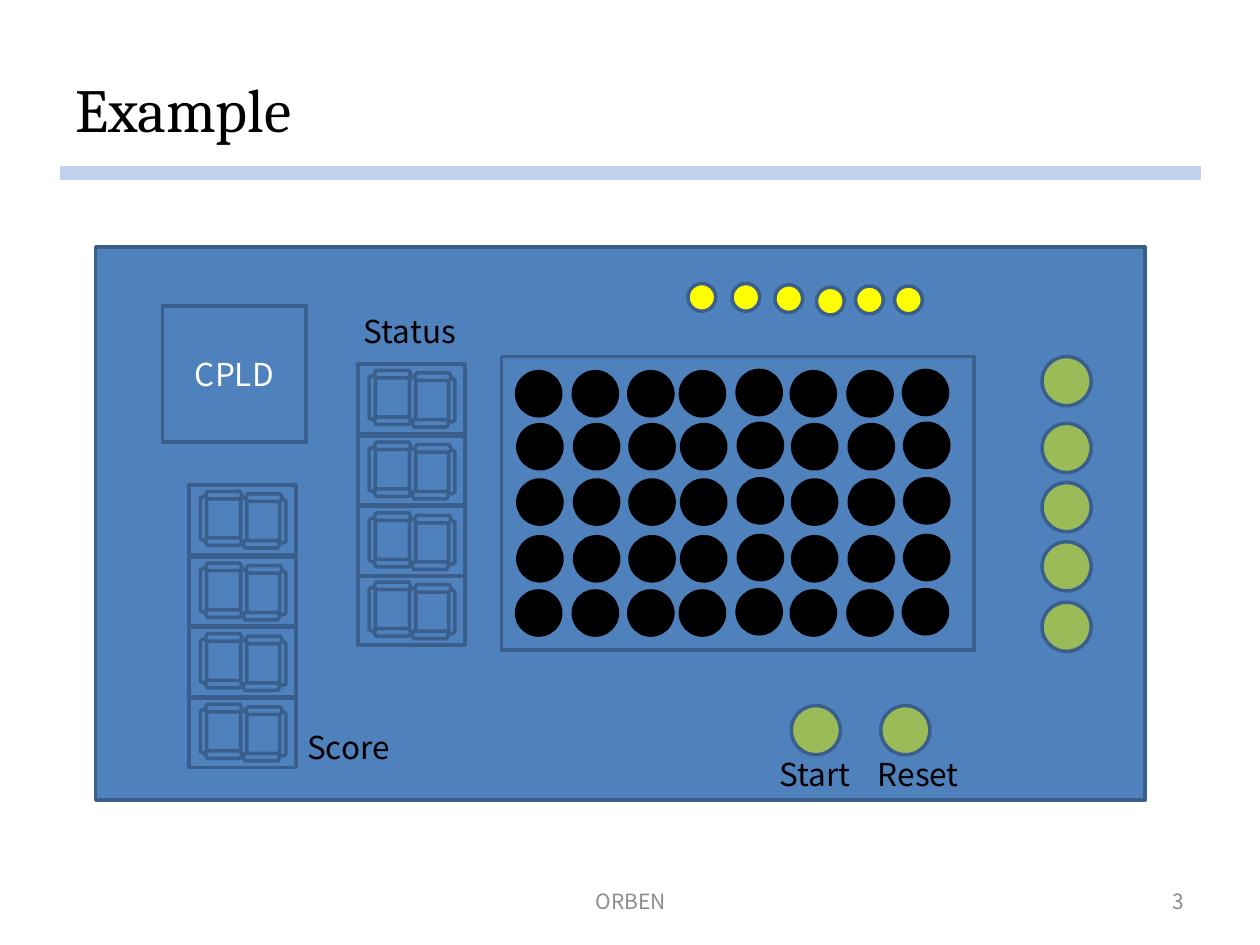
"""Build a slide with a game board layout: CPLD, digit displays, LED matrix and buttons."""
import lxml.etree
import pptx
import pptx.dml.color
import pptx.enum.shapes
import pptx.enum.text
import pptx.oxml.ns
import pptx.util

Inches = pptx.util.Inches
Shape = pptx.enum.shapes.MSO_SHAPE
Align = pptx.enum.text.PP_ALIGN
Anchor = pptx.enum.text.MSO_ANCHOR

COLOURS = {
    "rule": "C2D1ED", "board": "4F81BD", "outline": "3A5F8C", "button": "9BBB59",
    "lamp": "FFFF00", "black": "000000", "white": "FFFFFF", "footer": "8C8C8C",
}
BODY = "Noto Sans CJK KR"


def draw(shapes, kind, box, fill, outline="outline", rotation=0):
    part = shapes.add_shape(kind, *map(Inches, box))
    part.shadow.inherit = False
    part.fill.solid()
    part.fill.fore_color.rgb = pptx.dml.color.RGBColor.from_string(COLOURS[fill])
    part.line.color.rgb = pptx.dml.color.RGBColor.from_string(COLOURS[outline])
    part.line.width = pptx.util.Pt(2)
    part.rotation = rotation
    return part


def write(holder, text, size=18, colour="black", font=BODY, align=Align.LEFT, anchor=Anchor.TOP):
    frame = holder.text_frame
    paragraph = frame.paragraphs[0]
    run = paragraph.add_run()
    run.text = text
    run.font.color.rgb = pptx.dml.color.RGBColor.from_string(COLOURS[colour])
    formats = {
        frame: {"word_wrap": True, "vertical_anchor": anchor},
        paragraph: {"alignment": align},
        run.font: {"size": pptx.util.Pt(size), "name": font},
    }
    for target, values in formats.items():
        for name, value in values.items():
            setattr(target, name, value)


deck = pptx.Presentation()
deck.slide_width, deck.slide_height = Inches(10), Inches(7.5)
slide = deck.slides.add_slide(deck.slide_layouts[6])
shapes = slide.shapes

title_rule = shapes.add_connector(
    pptx.enum.shapes.MSO_CONNECTOR.STRAIGHT,
    Inches(0.48), Inches(1.37), Inches(9.53), Inches(1.37))
title_rule.line.color.rgb = pptx.dml.color.RGBColor.from_string(COLOURS["rule"])
title_rule.line.width = pptx.util.Pt(8)
lxml.etree.SubElement(title_rule._element.spPr, pptx.oxml.ns.qn("a:effectLst"))

draw(shapes, Shape.RECTANGLE, (0.76, 1.96, 8.33, 4.39), "board")

side_buttons = [(8.27, top) for top in (2.83, 3.36, 3.83, 4.3, 4.78)]
game_buttons = [(6.28, 5.6), (6.99, 5.6)]
for left, top in side_buttons + game_buttons:
    draw(shapes, Shape.OVAL, (left, top, 0.39, 0.39), "button")

draw(shapes, Shape.RECTANGLE, (3.98, 2.83, 3.75, 2.33), "board")
matrix_lefts = (4.1, 4.55, 4.99, 5.4, 5.85, 6.28, 6.73, 7.17)
matrix_tops = (2.95, 3.37, 3.81, 4.26, 4.69)
for column, left in enumerate(matrix_lefts):
    for row, top in enumerate(matrix_tops):
        shift = 0.01 if row in (1, 2, 3) else 0
        lift = 0.01 if column in (4, 7) else 0
        draw(shapes, Shape.OVAL, (left + shift, top - lift, 0.35, 0.35), "black", "black")

upright, level = (0.35, 0.05, 270), (0.29, 0.06, 0)
segments = [
    (0.57, 0.26, upright), (0.26, 0.25, upright), (0.45, 0.07, level), (0.43, 0.44, level),
    (-0.06, 0.24, upright), (0.13, 0.05, level), (0.13, 0.42, level),
]
displays = {2.84: (2.89, 3.46, 4.02, 4.57), 1.5: (3.85, 4.42, 4.98, 5.54)}
for left, tops in displays.items():
    for top in tops:
        digits = shapes.add_group_shape().shapes
        draw(digits, Shape.RECTANGLE, (left, top, 0.85, 0.55), "board")
        for across, down, (width, height, rotation) in segments:
            draw(digits, Shape.HEXAGON, (left + across, top + down, width, height),
                 "board", rotation=rotation)

chip = draw(shapes, Shape.RECTANGLE, (1.29, 2.43, 1.14, 1.08), "board")
write(chip, "CPLD", colour="white", align=Align.CENTER, anchor=Anchor.MIDDLE)

for left, top in ((5.46, 2.25), (5.81, 2.25), (6.15, 2.26), (6.48, 2.28), (6.79, 2.27), (7.1, 2.27)):
    draw(shapes, Shape.OVAL, (left, top, 0.22, 0.22), "lamp")

footer = {"size": 12, "colour": "footer", "anchor": Anchor.MIDDLE}
labels = [
    ("Example", (0.5, 0.3, 9, 1.11), {"size": 35, "font": "Cambria", "anchor": Anchor.MIDDLE}),
    ("Status", (2.79, 2.43, 1, 0.4), {}),
    ("Score", (2.34, 5.73, 1, 0.4), {}),
    ("Start", (6.09, 5.94, 1, 0.4), {}),
    ("Reset", (6.87, 5.94, 1, 0.4), {}),
    ("ORBEN", (3.42, 6.95, 3.17, 0.4), {**footer, "align": Align.CENTER}),
    ("3", (7.17, 6.95, 2.33, 0.4), {**footer, "align": Align.RIGHT}),
]
for text, box, style in labels:
    write(shapes.add_textbox(*map(Inches, box)), text, **style)

deck.save("out.pptx")
